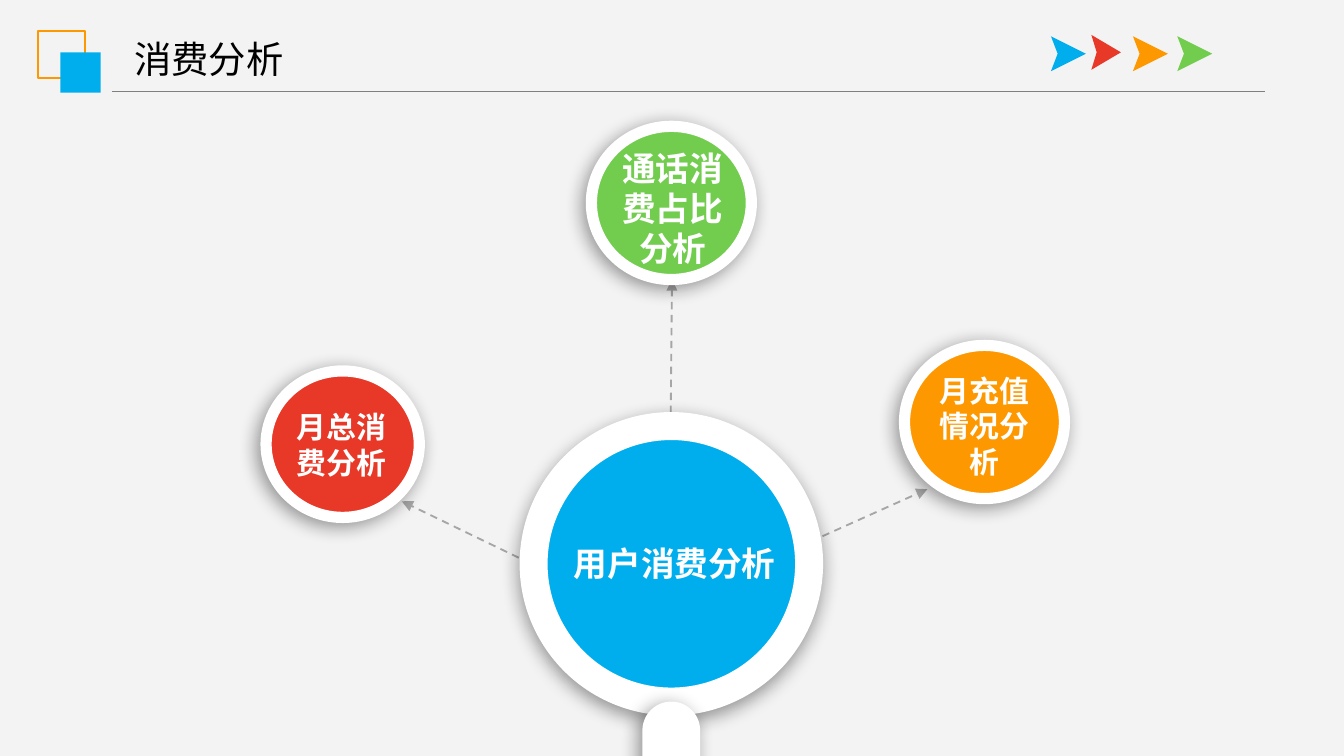
from dataclasses import dataclass

from lxml.etree import SubElement
from pptx import Presentation
from pptx.dml.color import RGBColor
from pptx.enum.dml import MSO_LINE
from pptx.enum.shapes import MSO_CONNECTOR, MSO_SHAPE
from pptx.enum.text import MSO_AUTO_SIZE, PP_ALIGN
from pptx.oxml.ns import qn
from pptx.util import Inches, Pt

FONT = "Noto Sans CJK SC"
COLORS = {
    "background": "F3F3F3", "blue": "00AEEE", "red": "E83828",
    "orange": "FE9800", "green": "72CD4F", "white": "FFFFFF",
    "black": "000000", "rule": "808080", "spoke": "A6A6A6",
}


@dataclass
class Box:
    left: float
    top: float
    width: float
    height: float

    def lengths(self) -> list:
        return [Inches(v) for v in (self.left, self.top, self.width, self.height)]


@dataclass
class Disc:
    box: Box
    color: str
    ring: float
    shadow_angle: int = 135


@dataclass
class Label:
    text: str
    box: Box
    size: int
    color: str = "white"
    bold: bool = True
    align: PP_ALIGN = PP_ALIGN.CENTER
    wrap: bool = True
    inset: tuple = (0.1, 0.05)


@dataclass
class Arrow:
    left: float
    color: str
    width: float = 0.26
    half_height: float = 0.13
    notch: float = 0.05
    middle: float = 0.4


def rgb(name: str) -> RGBColor:
    return RGBColor.from_string(COLORS[name])


def add_shadow(shape, angle: int) -> None:
    effects = shape.element.spPr.find(qn("a:effectLst"))
    outer = SubElement(effects, qn("a:outerShdw"), blurRad=str(Pt(10)),
                       dist=str(Pt(3)), dir=str(angle * 60000), rotWithShape="0")
    tint = SubElement(outer, qn("a:srgbClr"), val=COLORS["black"])
    SubElement(tint, qn("a:alpha"), val="40000")


def style(shape, fill: str = "", line: str = "", width: float = 1) -> None:
    shape.shadow.inherit = False
    if fill:
        shape.fill.solid()
        shape.fill.fore_color.rgb = rgb(fill)
    else:
        shape.fill.background()
    if line:
        shape.line.color.rgb = rgb(line)
        shape.line.width = Pt(width)
    else:
        shape.line.fill.background()


def draw_line(shapes, start: tuple, end: tuple, color: str, width: float):
    line = shapes.add_connector(MSO_CONNECTOR.STRAIGHT,
                                *[Inches(v) for v in start + end])
    line.line.color.rgb = rgb(color)
    line.line.width = Pt(width)
    SubElement(line.element.spPr, qn("a:effectLst"))
    return line


def draw_spoke(shapes, start: tuple, end: tuple) -> None:
    spoke = draw_line(shapes, start, end, "spoke", 1)
    spoke.line.dash_style = MSO_LINE.DASH
    outline = spoke.element.spPr.find(qn("a:ln"))
    SubElement(outline, qn("a:tailEnd"), type="triangle")


def draw_disc(shapes, disc: Disc) -> None:
    circle = shapes.add_shape(MSO_SHAPE.OVAL, *disc.box.lengths())
    style(circle, disc.color, "white", disc.ring)
    add_shadow(circle, disc.shadow_angle)


def draw_arrow(shapes, arrow: Arrow) -> None:
    top, bottom = arrow.middle - arrow.half_height, arrow.middle + arrow.half_height
    outline = [(arrow.left, bottom), (arrow.left + arrow.notch, arrow.middle),
               (arrow.left, top), (arrow.left + arrow.width, arrow.middle)]
    points = [(Inches(x), Inches(y)) for x, y in outline]
    builder = shapes.build_freeform(*points[0])
    builder.add_line_segments(points[1:], close=True)
    style(builder.convert_to_shape(), arrow.color)


def draw_label(shapes, label: Label) -> None:
    frame = shapes.add_textbox(*label.box.lengths()).text_frame
    side, edge = (Inches(v) for v in label.inset)
    frame_format = {
        "word_wrap": label.wrap, "auto_size": MSO_AUTO_SIZE.SHAPE_TO_FIT_TEXT,
        "margin_left": side, "margin_right": side,
        "margin_top": edge, "margin_bottom": edge,
    }
    for name, value in frame_format.items():
        setattr(frame, name, value)
    paragraph = frame.paragraphs[0]
    paragraph.alignment = label.align
    run = paragraph.add_run()
    run.text = label.text
    run.font.color.rgb = rgb(label.color)
    font_format = {"name": FONT, "size": Pt(label.size), "bold": label.bold}
    for name, value in font_format.items():
        setattr(run.font, name, value)
    SubElement(run.font._element, qn("a:ea"), typeface=FONT)


SPOKES = [((4.99, 3.17), (5, 2.08)), ((3.86, 4.15), (2.99, 3.73)),
          ((6.12, 3.99), (6.9, 3.64))]
HUB = Disc(Box(3.97, 3.17, 2.05, 2.05), "blue", 15, 100)
TOPICS = [
    Disc(Box(1.98, 2.76, 1.14, 1.09), "red", 6),
    Disc(Box(4.4, 0.94, 1.19, 1.14), "green", 6),
    Disc(Box(6.73, 2.57, 1.19, 1.14), "orange", 6),
]
ARROWS = [
    Arrow(8.12, "red", width=0.22, notch=0.04, middle=0.39),
    Arrow(8.76, "green"),
    Arrow(8.43, "orange"),
    Arrow(7.82, "blue"),
]
LABELS = [
    Label("月总消费分析", Box(2.02, 2.98, 1.04, 0.66), 16, inset=(0.12, 0.06)),
    Label("月充值情况分析", Box(6.84, 2.71, 0.97, 0.93), 16, inset=(0.12, 0.06)),
    Label("消费分析", Box(0.9, 0.22, 1.32, 0.44), 20, "black", False,
          PP_ALIGN.LEFT, False),
    Label("用户消费分析", Box(4.15, 3.99, 1.74, 0.4), 18),
    Label("通话消费占比分析", Box(4.41, 1.05, 1.19, 1.01), 18),
]


def main() -> None:
    # Widescreen slide, 16 to 9
    deck = Presentation()
    deck.slide_width, deck.slide_height = Inches(10), Inches(10 * 9 / 16)
    slide = deck.slides.add_slide(deck.slide_layouts[6])
    slide.background.fill.solid()
    slide.background.fill.fore_color.rgb = rgb("background")
    shapes = slide.shapes

    # Header rule and overlapping squares
    draw_line(shapes, (0.83, 0.68), (9.41, 0.68), "rule", 0.75)
    frame = shapes.add_shape(MSO_SHAPE.RECTANGLE, *Box(0.28, 0.23, 0.35, 0.35).lengths())
    style(frame, line="orange")
    block = shapes.add_shape(MSO_SHAPE.RECTANGLE, *Box(0.45, 0.39, 0.3, 0.3).lengths())
    style(block, "blue")

    # Magnifier with spokes to the topics
    for start, end in SPOKES:
        draw_spoke(shapes, start, end)
    draw_disc(shapes, HUB)
    handle = shapes.add_shape(MSO_SHAPE.ROUNDED_RECTANGLE,
                              *Box(4.78, 5.22, 0.43, 0.88).lengths())
    handle.adjustments[0] = 0.5
    style(handle, "white")
    add_shadow(handle, 135)
    for topic in TOPICS:
        draw_disc(shapes, topic)

    # Header arrows and all wording
    for arrow in ARROWS:
        draw_arrow(shapes, arrow)
    for label in LABELS:
        draw_label(shapes, label)

    deck.save("out.pptx")


if __name__ == "__main__":
    main()
